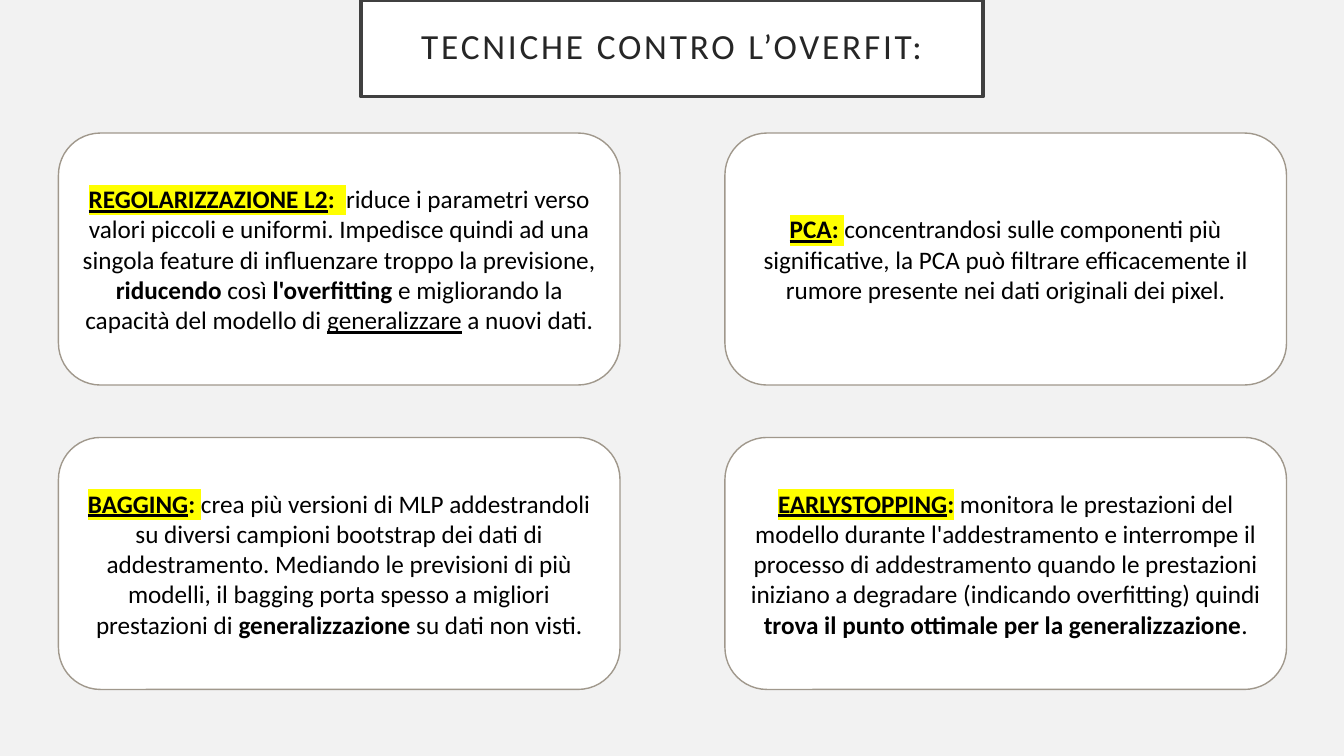
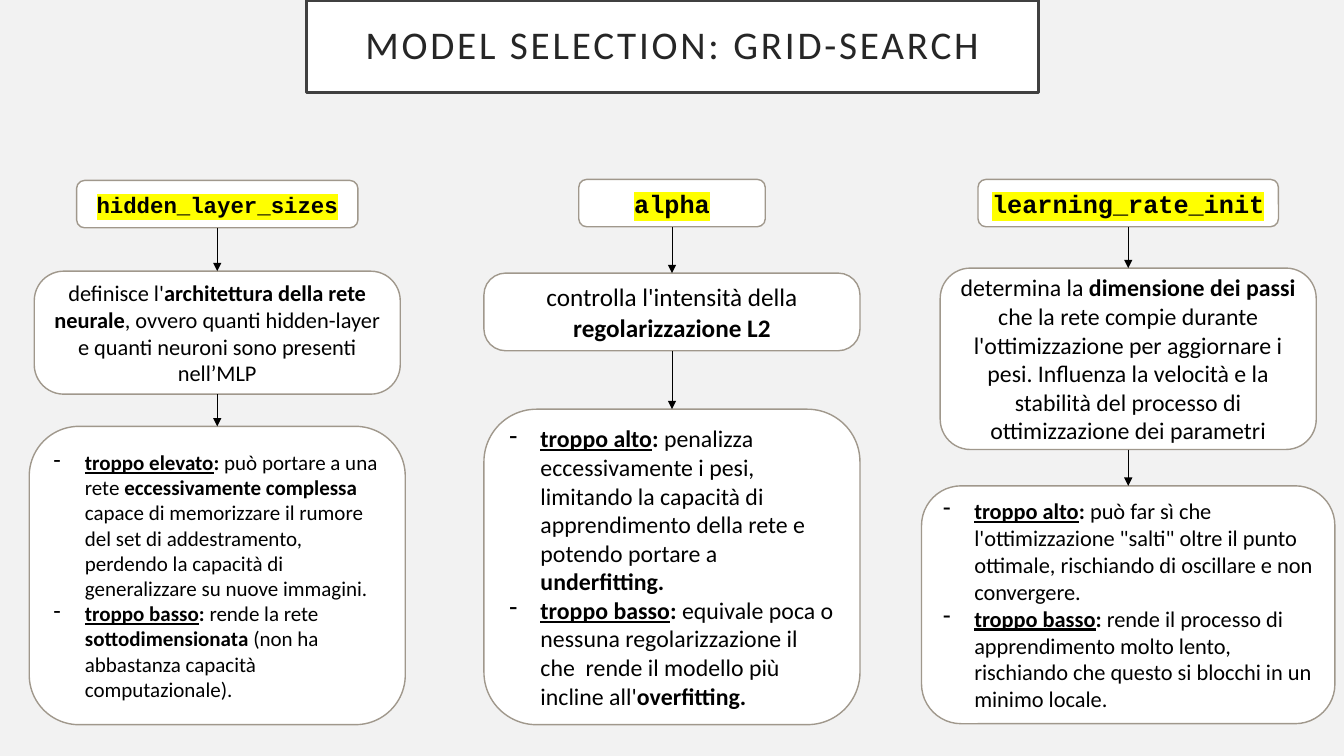
from dataclasses import dataclass

from lxml.etree import SubElement
from pptx import Presentation
from pptx.dml.color import RGBColor
from pptx.enum.shapes import MSO_CONNECTOR, MSO_SHAPE
from pptx.enum.text import MSO_ANCHOR, MSO_AUTO_SIZE, PP_ALIGN
from pptx.oxml.ns import qn
from pptx.util import Pt

EMU_PER_PX = 9144
TITLE_ONLY = 5


@dataclass(frozen=True)
class Theme:
    background: str = "F2F2F2"
    panel: str = "FFFFFF"
    title_border: str = "404040"
    title_text: str = "262626"
    card_border: str = "A0988C"
    text: str = "000000"
    highlight: str = "FFFF00"
    font: str = "Calibri"
    code_font: str = "Courier New"
    title_line: float = 2.5
    card_line: float = 1
    arrow_line: float = 0.5
    card_size: int = 18
    title_inset: int = 20
    bullet_indent: int = 31


THEME = Theme()

# Runs are (text, flags): b = bold, u = underlined, h = highlighted
TECHNIQUES = [
    [("REGOLARIZZAZIONE L2", "buh"), (":  ", "bh"),
     ("riduce i parametri verso valori piccoli e uniformi. Impedisce quindi ad una "
      "singola feature di influenzare troppo la previsione, ", ""),
     ("riducendo ", "b"), ("così", ""), (" l'overfitting", "b"),
     (" e migliorando la capacità del modello di ", ""),
     ("generalizzare", "u"), (" a nuovi dati.", "")],
    [("PCA", "buh"), (": ", "bh"),
     ("concentrandosi sulle componenti più significative, la PCA può filtrare "
      "efficacemente il rumore presente nei dati originali dei pixel.", "")],
    [("BAGGING", "buh"), (":", "bh"), (" ", "h"),
     ("crea più versioni di MLP addestrandoli su diversi campioni bootstrap dei dati di "
      "addestramento. Mediando le previsioni di più modelli, il bagging porta spesso a "
      "migliori prestazioni di ", ""),
     ("generalizzazione", "b"), (" su dati non visti.", "")],
    [("EARLYSTOPPING", "buh"), (":", "bh"),
     (" monitora le prestazioni del modello durante l'addestramento e interrompe il "
      "processo di addestramento quando le prestazioni iniziano a degradare (indicando "
      "overfitting) quindi ", ""),
     ("trova il punto ottimale per la generalizzazione", "b"), (".", "")],
]


@dataclass(frozen=True)
class Parameter:
    box: tuple  # left, top, width, height of the column
    name: str
    name_width: int
    name_size: int
    description: list
    description_width: int
    description_height: int
    description_size: int
    gaps: tuple  # arrow lengths
    effects: list
    effects_size: int
    rounding: float | None = None


PARAMETERS = [
    Parameter(
        box=(29, 179, 373, 540), name="hidden_layer_sizes", name_width=279, name_size=16,
        description=[
            ("definisce l'", ""), ("architettura della rete neurale", "b"),
            (", ovvero quanti hidden-layer e quanti neuroni sono presenti nell’MLP", "")],
        description_width=363, description_height=122, description_size=16,
        gaps=(43, 32), rounding=0.24, effects_size=15,
        effects=[
            [("troppo elevato", "bu"), (":", "b"), (" può portare a una rete ", ""),
             ("eccessivamente complessa", "b"),
             ("  capace di memorizzare il rumore del set di addestramento, perdendo la "
              "capacità di generalizzare su nuove immagini.", "")],
            [("troppo basso", "bu"), (": ", "b"), ("rende la rete ", ""),
             ("sottodimensionata", "b"),
             (" (non ha abbastanza capacità computazionale).", "")]]),
    Parameter(
        box=(480, 178, 373, 541), name="alpha", name_width=185, name_size=18,
        description=[("controlla l'intensità della ", ""), ("regolarizzazione L2", "b")],
        description_width=373, description_height=77, description_size=18,
        gaps=(46, 58), rounding=0.28, effects_size=17,
        effects=[
            [("troppo alto", "bu"), (":", "b"),
             (" penalizza eccessivamente i pesi, limitando la capacità di apprendimento "
              "della rete e potendo portare a  ", ""), ("underfitting.", "b")],
            [("troppo basso", "bu"), (":", "b"),
             (" equivale poca o nessuna regolarizzazione il che  rende il modello più "
              "incline all'", ""), ("overfitting.", "b")]]),
    Parameter(
        box=(914, 178, 410, 540), name="learning_rate_init", name_width=298, name_size=18,
        description=[
            ("determina la ", ""), ("dimensione dei passi", "b"),
            (" che la rete compie durante l'ottimizzazione per aggiornare i pesi. "
             "Influenza la velocità e la stabilità del processo di ottimizzazione dei "
             "parametri", "")],
        description_width=373, description_height=180, description_size=17,
        gaps=(41, 36), effects_size=16,
        effects=[
            [("troppo alto", "bu"), (":", "b"),
             (" può far sì che l'ottimizzazione \"salti\" oltre il punto ottimale, "
              "rischiando di oscillare e non convergere.", "")],
            [("troppo basso", "bu"), (":", "b"),
             (" rende il processo di apprendimento molto lento, rischiando che questo si "
              "blocchi in un minimo locale.", "")]]),
]


def px(length):
    return round(length * EMU_PER_PX)


def color(value):
    return RGBColor.from_string(value)


# Shared pieces
def paint(shape, border, width):
    shape.fill.solid()
    shape.fill.fore_color.rgb = color(THEME.panel)
    shape.line.color.rgb = color(border)
    shape.line.width = Pt(width)


def add_run(paragraph, text, flags, size, font=THEME.font, text_color=THEME.text):
    run = paragraph.add_run()
    run.text = text
    run.font.size = Pt(size)
    run.font.bold = "b" in flags
    run.font.underline = "u" in flags
    run.font.color.rgb = color(text_color)
    if "h" in flags:
        highlight = SubElement(run.font._element, qn("a:highlight"))
        SubElement(highlight, qn("a:srgbClr"), val=THEME.highlight)
    run.font.name = font
    return run


def add_dash(paragraph):
    properties = paragraph._p.get_or_add_pPr()
    properties.set("marL", str(px(THEME.bullet_indent)))
    properties.set("indent", str(-px(THEME.bullet_indent)))
    SubElement(properties, qn("a:buFontTx"))
    SubElement(properties, qn("a:buChar"), char="-")


def add_card(slide, box, paragraphs, size, font=THEME.font, rounding=None, bullets=False):
    shape = slide.shapes.add_shape(MSO_SHAPE.ROUNDED_RECTANGLE, *map(px, box))
    shape.shadow.inherit = False
    paint(shape, THEME.card_border, THEME.card_line)
    if rounding is not None:
        shape.adjustments[0] = rounding
    frame = shape.text_frame
    frame.word_wrap = True
    frame.vertical_anchor = MSO_ANCHOR.MIDDLE
    for index, runs in enumerate(paragraphs):
        paragraph = frame.add_paragraph() if index else frame.paragraphs[0]
        paragraph.alignment = PP_ALIGN.LEFT if bullets else PP_ALIGN.CENTER
        if bullets:
            add_dash(paragraph)
        for text, flags in runs:
            add_run(paragraph, text, flags, size, font)


def add_down_arrow(slide, x, top, length):
    arrow = slide.shapes.add_connector(
        MSO_CONNECTOR.STRAIGHT, px(x), px(top), px(x), px(top + length))
    arrow.line.color.rgb = color(THEME.text)
    arrow.line.width = Pt(THEME.arrow_line)
    SubElement(arrow.line._get_or_add_ln(), qn("a:tailEnd"), type="triangle")
    SubElement(arrow._element.spPr, qn("a:effectLst"))


def add_titled_slide(presentation, text, box, size):
    slide = presentation.slides.add_slide(presentation.slide_layouts[TITLE_ONLY])
    title = slide.shapes.title
    title.left, title.top, title.width, title.height = map(px, box)
    paint(title, THEME.title_border, THEME.title_line)
    frame = title.text_frame
    frame.word_wrap = True
    frame.auto_size = MSO_AUTO_SIZE.NONE
    frame.vertical_anchor = MSO_ANCHOR.MIDDLE
    frame.margin_left = frame.margin_right = px(THEME.title_inset)
    frame.margin_top = frame.margin_bottom = px(THEME.title_inset)
    paragraph = frame.paragraphs[0]
    paragraph.alignment = PP_ALIGN.CENTER
    paragraph.line_spacing = 0.9
    run = add_run(paragraph, text, "", size, text_color=THEME.title_text)
    run.font._element.set("spc", "200")
    return slide


# Two-column grid of technique cards
def add_technique_grid(slide, box):
    left, top, width, height = box
    card_width, card_height = 557, 250
    for index, runs in enumerate(TECHNIQUES):
        row, column = divmod(index, 2)
        card_left = left + column * (width - card_width)
        card_top = top + row * (height - card_height)
        add_card(slide, (card_left, card_top, card_width, card_height), [runs],
                 THEME.card_size)


# Name, description and effects of one parameter, joined by arrows
def add_parameter_column(slide, parameter):
    left, top, width, height = parameter.box
    center = left + width / 2
    name_height = 47
    description_top = top + name_height + parameter.gaps[0]
    description_bottom = description_top + parameter.description_height
    effects_top = description_bottom + parameter.gaps[1]

    def centered(part_width, part_top, part_height):
        return center - part_width / 2, part_top, part_width, part_height

    add_card(slide, centered(parameter.name_width, top, name_height),
             [[(parameter.name, "bh")]], parameter.name_size, THEME.code_font)
    add_card(slide, centered(parameter.description_width, description_top,
                             parameter.description_height),
             [parameter.description], parameter.description_size,
             rounding=parameter.rounding)
    add_card(slide, centered(width, effects_top, top + height - effects_top),
             parameter.effects, parameter.effects_size, bullets=True)
    add_down_arrow(slide, center, top + name_height, parameter.gaps[0])
    add_down_arrow(slide, center, description_bottom, parameter.gaps[1])


def main():
    presentation = Presentation()
    presentation.slide_width, presentation.slide_height = px(1333), px(750)
    background = presentation.slide_master.background.fill
    background.solid()
    background.fore_color.rgb = color(THEME.background)

    techniques = add_titled_slide(
        presentation, "TECNICHE CONTRO L’OVERFIT:", (358, 0, 617, 96), 25.2)
    add_technique_grid(techniques, (58, 132, 1218, 552))

    selection = add_titled_slide(
        presentation, "MODEL SELECTION: GRID-SEARCH", (304, 0, 726, 92), 28)
    for parameter in PARAMETERS:
        add_parameter_column(selection, parameter)

    presentation.save("out.pptx")


if __name__ == "__main__":
    main()
